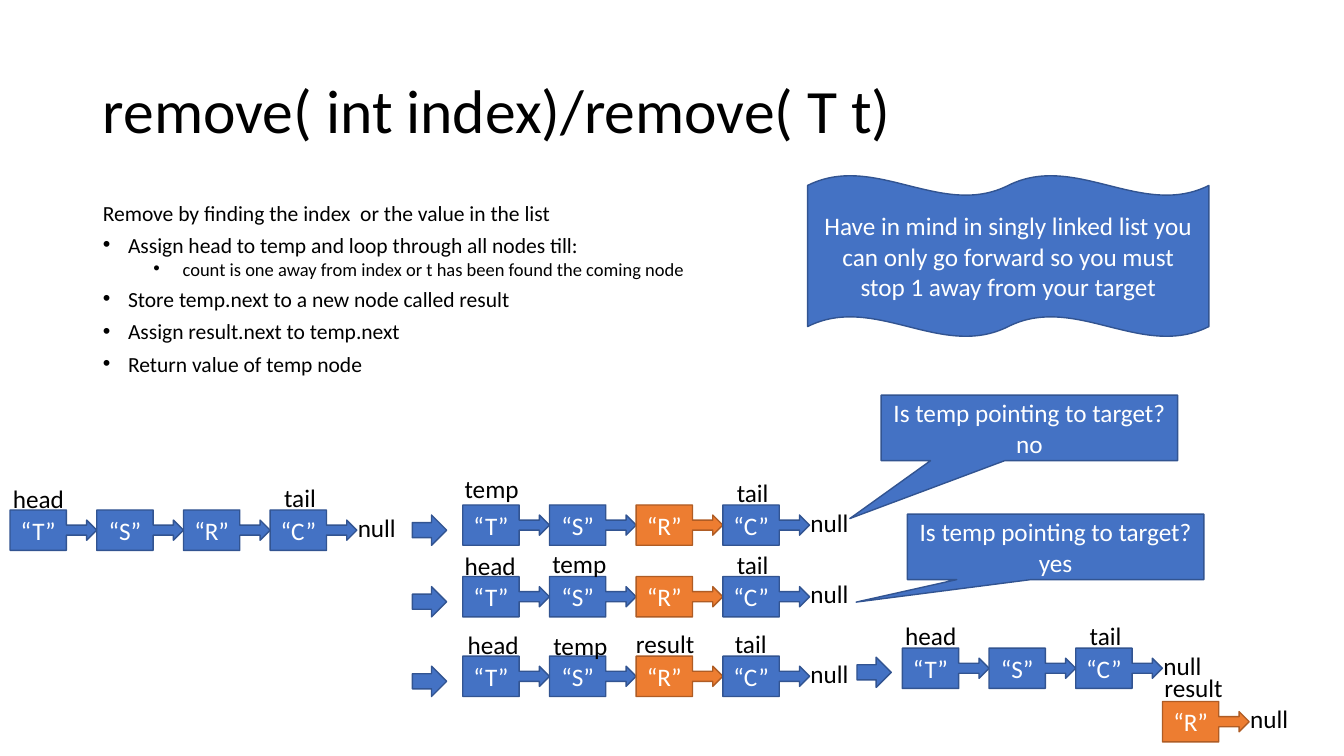
from lxml.etree import SubElement as Sub
from pptx import Presentation
from pptx.dml.color import RGBColor as Rgb
from pptx.enum.shapes import MSO_SHAPE as Kind
from pptx.enum.text import MSO_ANCHOR as Anchor, MSO_AUTO_SIZE as Fit, PP_ALIGN as Align
from pptx.oxml.ns import qn
from pptx.util import Inches, Pt

HUES = {"blue": "4472C4", "navy": "325491", "orange": "ED7D31",
        "rust": "AF5C24", "black": "000000", "white": "FFFFFF"}
EDGE = {"blue": "navy", "orange": "rust"}
STEP, HIGH = 0.86, 0.4

STEPS = [
    (0, False, "Remove by finding the index  or the value in the list"),
    (0, True, "Assign head to temp and loop through all nodes till:"),
    (1, True, " count is one away from index or t has been found the coming node"),
    (0, True, "Store temp.next to a new node called result"),
    (0, True, "Assign result.next to temp.next"),
    (0, True, "Return value of temp node"),
]

# left, top, node letters, labels as (node, word, shift right, rise)
CHAINS = [
    (0.1, 5.06, "TSRC", [(0, "head", -0.07, 0.31), (3, "tail", 0.04, 0.32)]),
    (4.59, 5.01, "TSRC", [(0, "temp", -0.08, 0.36), (3, "tail", 0.04, 0.32)]),
    (4.59, 5.72, "TSRC", [(0, "head", -0.08, 0.31), (1, "temp", -0.07, 0.33),
                          (3, "tail", 0.04, 0.32)]),
    (4.59, 6.51, "TSRC", [(0, "head", -0.05, 0.32), (1, "temp", -0.06, 0.31),
                          (2, "result", -0.1, 0.33), (3, "tail", 0.02, 0.33)]),
    (8.95, 6.43, "TSC", [(0, "head", -0.07, 0.32), (2, "tail", 0.04, 0.33)]),
    (11.53, 6.96, "R", [(0, "result", -0.08, 0.34)]),
]
ARROWS = [(4.09, 5.11), (4.09, 5.82), (4.09, 6.61), (8.5, 6.52)]
ASKS = [
    ((8.74, 3.92, 2.94, 0.65), "Is temp pointing to target? no", (-0.606, 1.384)),
    ((9, 5.1, 2.94, 0.65), "Is temp pointing to target? yes", (-0.673, 0.844)),
]


def style(item, vals):
    """Set each attribute named in vals."""
    for key, val in vals.items():
        setattr(item, key, val)


def write(para, words, size, hue):
    """Add one formatted run to a paragraph."""
    run = para.add_run()
    run.text = words
    style(run.font, {"name": "Calibri", "size": Pt(size)})
    run.font.color.rgb = Rgb.from_string(HUES[hue])


def place(item, box):
    """Move and size an item to a box in inches."""
    style(item, dict(zip(("left", "top", "width", "height"), map(Inches, box))))


def label(slide, box, words, wrap=True):
    """Add a plain black label."""
    frame = slide.shapes.add_textbox(*map(Inches, box)).text_frame
    frame.word_wrap = wrap
    write(frame.paragraphs[0], words, 18, "black")


def block(slide, kind, box, words="", hue="blue", bend=()):
    """Add a filled shape with centred white text."""
    shape = slide.shapes.add_shape(kind, *map(Inches, box))
    shape.shadow.inherit = False
    shape.fill.solid()
    shape.fill.fore_color.rgb = Rgb.from_string(HUES[hue])
    shape.line.color.rgb = Rgb.from_string(HUES[EDGE[hue]])
    shape.line.width = Pt(1)
    for spot, val in enumerate(bend):
        shape.adjustments[spot] = val
    if words:
        frame = shape.text_frame
        style(frame, {"word_wrap": True, "vertical_anchor": Anchor.MIDDLE})
        frame.paragraphs[0].alignment = Align.CENTER
        write(frame.paragraphs[0], words, 18, "white")


def chain(slide, left, top, nodes, tags):
    """Draw a linked list from its top left corner, ending in null."""
    for spot, node in enumerate(nodes):
        # The node to remove stands out once the search has begun
        hue = "orange" if node == "R" and left > 1 else "blue"
        box = (left + spot * STEP, top, STEP, HIGH)
        block(slide, Kind.RIGHT_ARROW_CALLOUT, box, f"“{node}”", hue)
    for spot, word, shift, rise in tags:
        label(slide, (left + spot * STEP + shift, top - rise, STEP, HIGH), word)
    end = left + len(nodes) * STEP - 0.09
    label(slide, (end, top - 0.03, 0.58, HIGH), "null", False)


def title(slide, box, words):
    """Fill the title placeholder."""
    head = slide.shapes.title
    place(head, box)
    frame = head.text_frame
    style(frame, {"vertical_anchor": Anchor.MIDDLE, "auto_size": Fit.NONE,
                  "word_wrap": True})
    style(frame.paragraphs[0], {"alignment": Align.LEFT, "line_spacing": 0.9})
    write(frame.paragraphs[0], words, 44, "black")


def steps(slide, box, rows):
    """Fill the body placeholder with the list of steps."""
    body = slide.placeholders[1]
    place(body, box)
    frame = body.text_frame
    style(frame, {"auto_size": Fit.NONE, "vertical_anchor": Anchor.TOP})
    for spot, (level, mark, words) in enumerate(rows):
        para = frame.add_paragraph() if spot else frame.paragraphs[0]
        style(para, {"level": level, "line_spacing": 0.7, "space_after": Pt(0),
                     "space_before": Pt(5 if level else 10)})
        props = para._p.get_or_add_pPr()
        props.set("marL", str(Inches(0.25 + level * 0.5 if mark else 0)))
        props.set("indent", str(Inches(-0.25 if mark else 0)))
        if mark:
            Sub(props, qn("a:buFont"), typeface="Arial")
            Sub(props, qn("a:buChar"), char="•")
        else:
            Sub(props, qn("a:buNone"))
        write(para, words, 13.2 if level else 15.4, "black")


def build():
    """Build and save the slide."""
    deck = Presentation()
    style(deck, {"slide_width": Inches(13.33), "slide_height": Inches(7.5)})
    slide = deck.slides.add_slide(deck.slide_layouts[1])
    title(slide, (0.92, 0.4, 11.5, 1.45), "remove( int index)/remove( T t)")
    steps(slide, (0.92, 2, 11.5, 1.78), STEPS)
    for row in CHAINS:
        chain(slide, *row)
    for left, top in ARROWS:
        block(slide, Kind.RIGHT_ARROW, (left, top, 0.34, 0.3))
    for box, words, bend in ASKS:
        block(slide, Kind.RECTANGULAR_CALLOUT, box, words, bend=bend)
    block(slide, Kind.DOUBLE_WAVE, (8.01, 1.74, 3.98, 1.6),
          "Have in mind in singly linked list you can only go forward "
          "so you must stop 1 away from your target")
    deck.save("out.pptx")


build()
